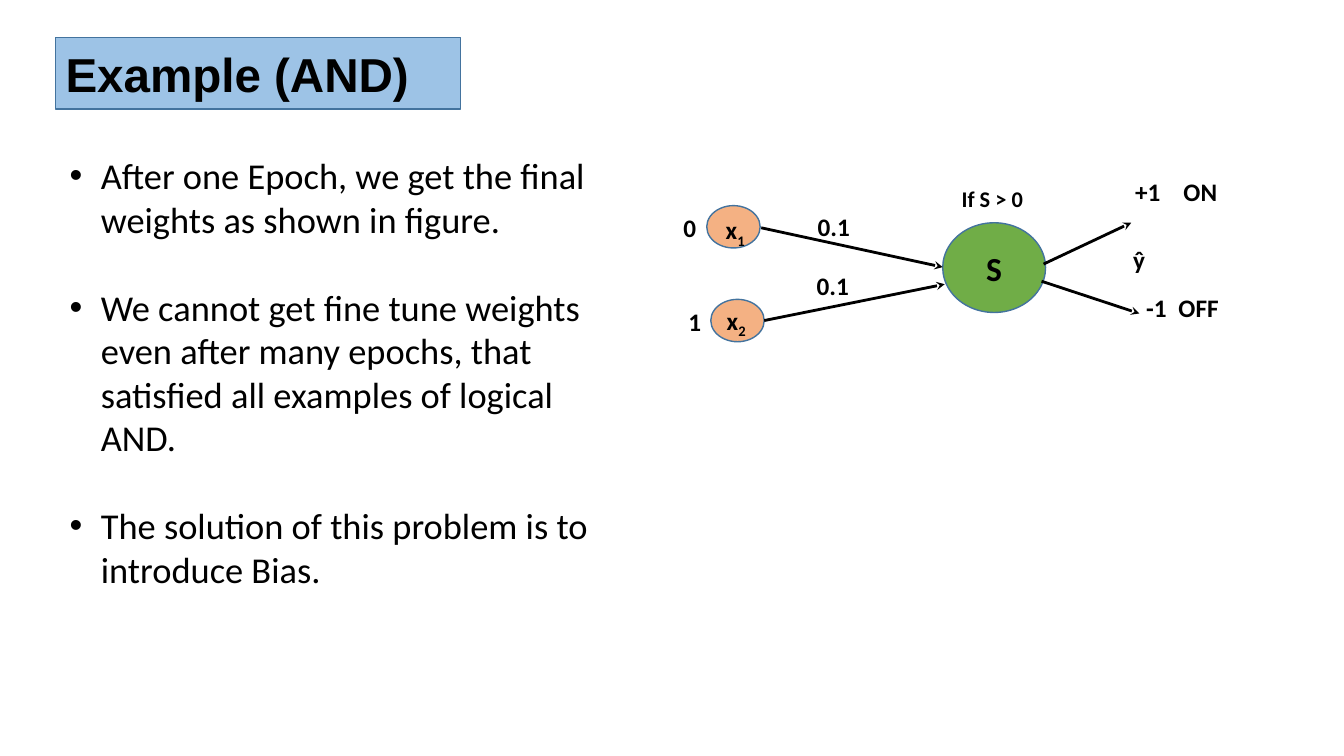
from lxml import etree
from pptx import Presentation
from pptx.dml.color import RGBColor
from pptx.enum.shapes import MSO_CONNECTOR, MSO_SHAPE
from pptx.enum.text import MSO_ANCHOR, MSO_AUTO_SIZE, PP_ALIGN
from pptx.oxml.ns import qn
from pptx.util import Inches, Pt

OVAL = MSO_SHAPE.OVAL
STRAIGHT = MSO_CONNECTOR.STRAIGHT
MIDDLE, TOP = MSO_ANCHOR.MIDDLE, MSO_ANCHOR.TOP
LEFT, CENTER = PP_ALIGN.LEFT, PP_ALIGN.CENTER
NO_AUTOFIT = MSO_AUTO_SIZE.NONE

COLORS = {"title": "9DC3E6", "input": "F4B183", "sum": "70AD47",
          "outline": "43739E", "ink": "000000"}

TITLE = "Example (AND)"
TITLE_BOX = (0.55, 0.37, 4.02, 0.71)
POINTS = [
    "After one Epoch, we get the final weights as shown in figure.",
    "We cannot get fine tune weights even after many epochs, that "
    "satisfied all examples of logical AND.",
    "The solution of this problem is to introduce Bias.",
]
POINTS_BOX = (0.59, 1.47, 5.55, 4.48)
POINT_INDENT = 0.31

NEURONS = [
    ("", "input", (7.01, 2.04, 0.53, 0.42)),
    ("", "input", (7.05, 2.97, 0.53, 0.42)),
    ("S", "sum", (9.35, 2.21, 1.02, 0.89)),
]
ARROWS = [
    ((7.55, 2.26), (9.35, 2.65)),
    ((7.58, 3.18), (9.37, 2.82)),
    ((10.35, 2.62), (11.22, 2.21)),
    ((10.33, 2.79), (11.3, 3.11)),
]
INPUT_NAMES = [("x", "1", (7.1, 2.08, 0.47, 0.4)),
               ("x", "2", (7.11, 2.98, 0.47, 0.4))]
LABELS = [
    ("ŷ", 18, (11.14, 2.37, 0.47, 0.4)),
    ("0.1", 18, (8.01, 2.05, 0.72, 0.4)),
    ("0.1", 18, (8, 2.63, 0.88, 0.4)),
    ("If S > 0", 16, (9.44, 1.79, 1.04, 0.37)),
    ("0", 18, (6.68, 2.06, 0.47, 0.4)),
    ("1", 18, (6.73, 2.99, 0.47, 0.4)),
]
OUTPUTS = [("+1", "ON", 0.48, (11.16, 1.7, 1.2, 0.4)),
           ("-1", "OFF", 0.32, (11.27, 2.85, 1.1, 0.4))]


def rgb(name):
    return RGBColor.from_string(COLORS[name])


def inches(values):
    return [Inches(value) for value in values]


def place(placeholder, box):
    placeholder.left, placeholder.top, placeholder.width, placeholder.height = inches(box)
    placeholder.text_frame.auto_size = NO_AUTOFIT


def paint(shape, color):
    shape.fill.solid()
    shape.fill.fore_color.rgb = rgb(color)
    shape.line.color.rgb = rgb("outline")
    shape.line.width = Pt(1)


def add_run(paragraph, text, size, bold=True, font="Calibri"):
    run = paragraph.add_run()
    run.text = text
    run.font.size = Pt(size)
    run.font.bold = bold
    run.font.name = font
    run.font.color.rgb = rgb("ink")
    return run


def add_label(slide, text, size, box):
    frame = slide.shapes.add_textbox(*inches(box)).text_frame
    frame.word_wrap = True
    paragraph = frame.paragraphs[0]
    add_run(paragraph, text, size)
    return paragraph


def add_title(slide):
    title = slide.shapes.title
    place(title, TITLE_BOX)
    outline = etree.Element(qn("a:prstGeom"), prst="roundRect")
    etree.SubElement(outline, qn("a:avLst"))
    title._element.spPr.insert(1, outline)
    paint(title, "title")
    title.text_frame.vertical_anchor = MIDDLE
    paragraph = title.text_frame.paragraphs[0]
    paragraph.alignment = LEFT
    add_run(paragraph, TITLE, 34, font="Arial")


def add_points(slide):
    body = slide.placeholders[1]
    place(body, POINTS_BOX)
    frame = body.text_frame
    frame.vertical_anchor = TOP
    for index, point in enumerate(POINTS):
        paragraph = frame.add_paragraph() if index else frame.paragraphs[0]
        paragraph.line_spacing = 1.0
        paragraph.space_before = Pt(31.5 if index else 0)
        properties = paragraph._p.get_or_add_pPr()
        properties.set("marL", str(Inches(POINT_INDENT)))
        properties.set("indent", str(-Inches(POINT_INDENT)))
        add_run(paragraph, point, 26, bold=False)


def add_neuron(slide, text, color, box):
    neuron = slide.shapes.add_shape(OVAL, *inches(box))
    neuron.shadow.inherit = False
    paint(neuron, color)
    if text:
        neuron.text_frame.vertical_anchor = MIDDLE
        paragraph = neuron.text_frame.paragraphs[0]
        paragraph.alignment = CENTER
        add_run(paragraph, text, 24)


def add_arrow(slide, start, end):
    arrow = slide.shapes.add_connector(STRAIGHT, *inches(start + end))
    arrow.line.color.rgb = rgb("ink")
    arrow.line.width = Pt(2)
    etree.SubElement(arrow.line._get_or_add_ln(), qn("a:tailEnd"), type="stealth")
    etree.SubElement(arrow._element.spPr, qn("a:effectLst"))


def add_output(slide, value, state, tab, box):
    paragraph = add_label(slide, f"{value}\t{state}", 18, box)
    stops = etree.SubElement(paragraph._p.get_or_add_pPr(), qn("a:tabLst"))
    etree.SubElement(stops, qn("a:tab"), pos=str(Inches(tab)), algn="l")


def main():
    deck = Presentation()
    deck.slide_width, deck.slide_height = Inches(13.33), Inches(7.5)
    slide = deck.slides.add_slide(deck.slide_layouts[1])
    add_title(slide)
    add_points(slide)
    for neuron in NEURONS:
        add_neuron(slide, *neuron)
    for name, number, box in INPUT_NAMES:
        subscript = add_run(add_label(slide, name, 18, box), number, 18)
        subscript.font._element.set("baseline", "-25000")
    for start, end in ARROWS:
        add_arrow(slide, start, end)
    for label in LABELS:
        add_label(slide, *label)
    for output in OUTPUTS:
        add_output(slide, *output)
    deck.save("out.pptx")


if __name__ == "__main__":
    main()
